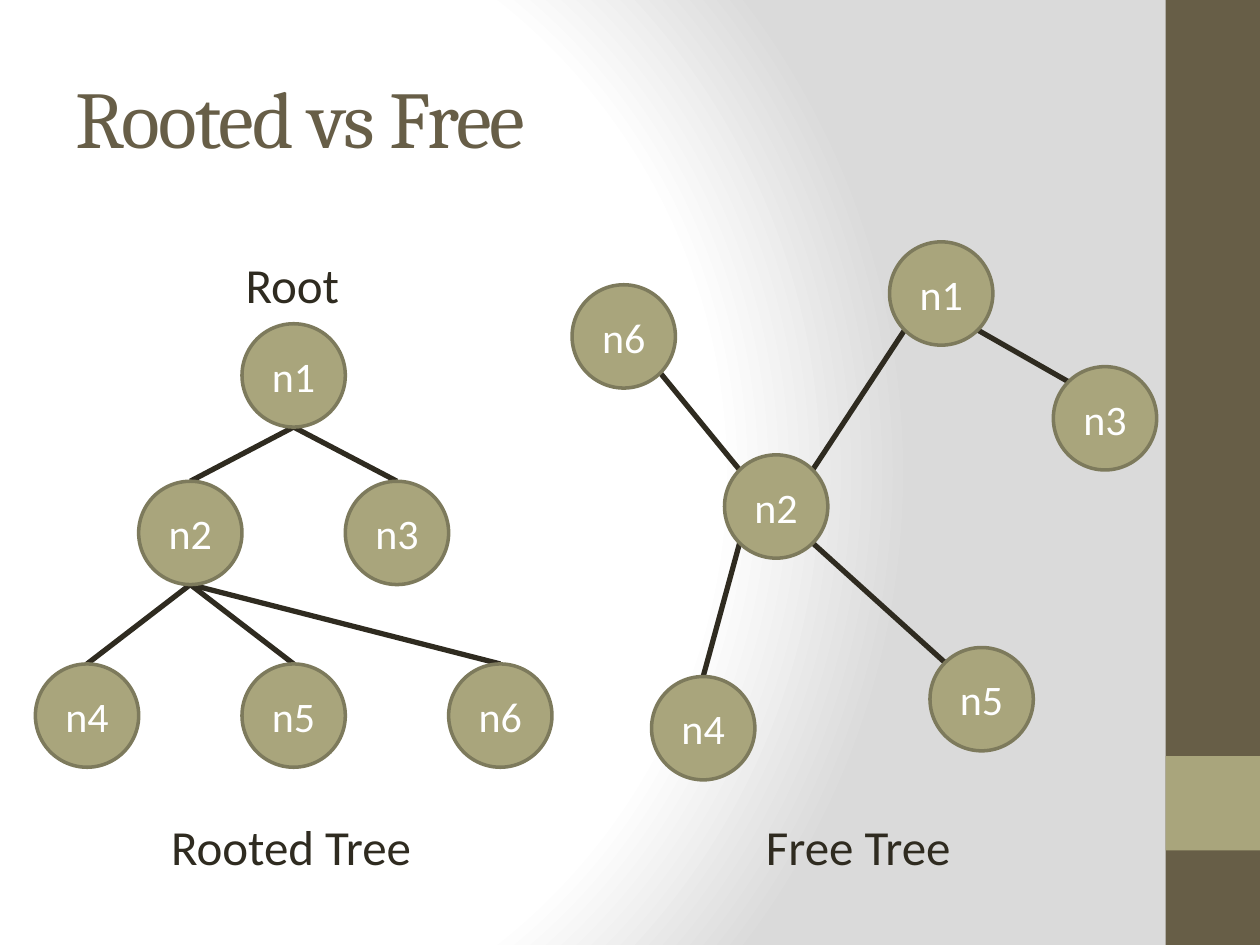
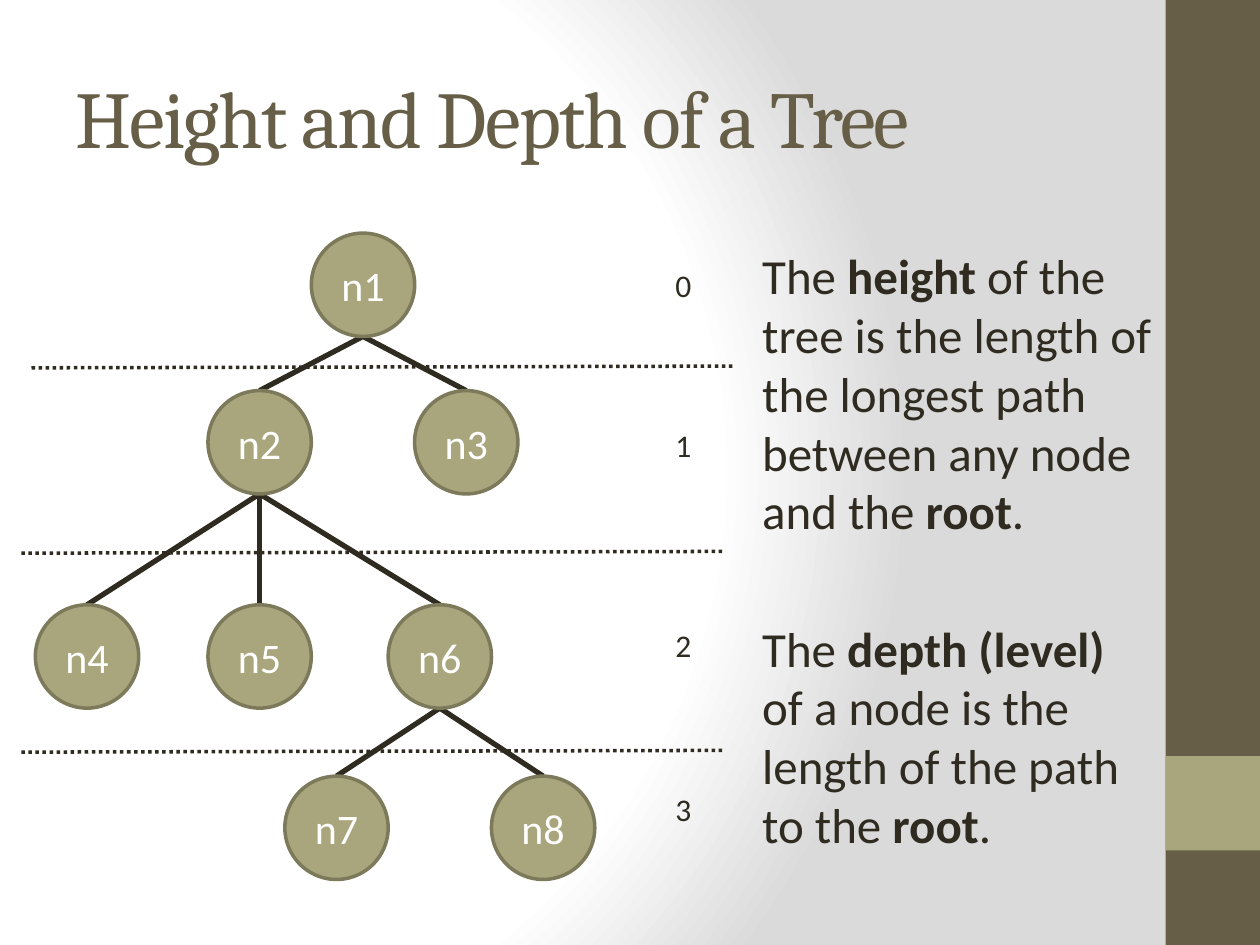
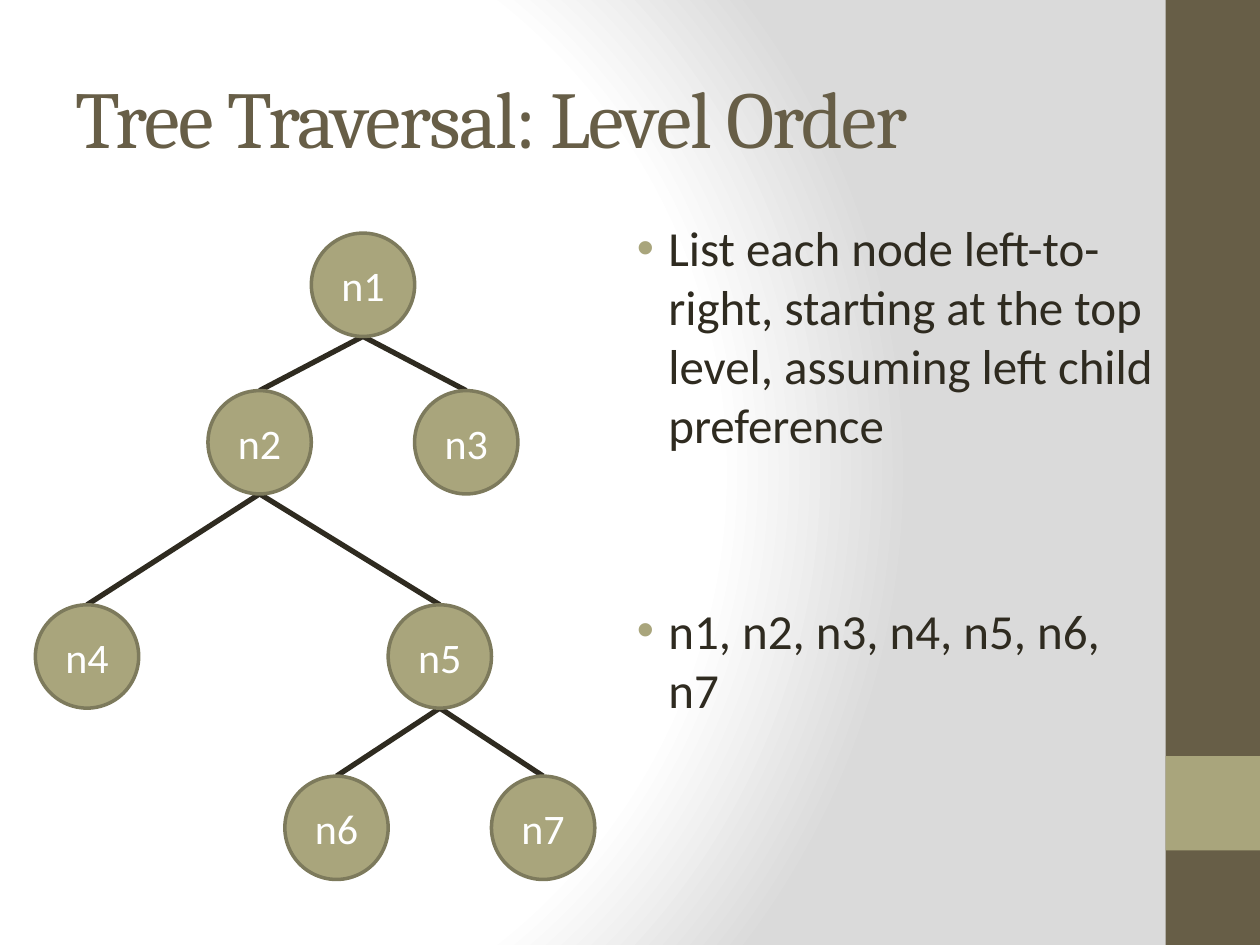
from math import sqrt

from lxml.etree import SubElement
from pptx import Presentation
from pptx.dml.color import RGBColor
from pptx.enum.dml import MSO_LINE
from pptx.enum.shapes import MSO_CONNECTOR, MSO_SHAPE
from pptx.enum.text import MSO_ANCHOR, MSO_AUTO_SIZE, PP_ALIGN
from pptx.oxml import parse_xml
from pptx.oxml.ns import nsdecls, qn
from pptx.util import Pt

COLORS = {
    "brown": "675E47", "olive": "A9A57C", "rim": "7D7A5C",
    "ink": "2F2B20", "white": "FFFFFF", "gray": "DADADA",
}
HEADING_FONT, BODY_FONT = "Cambria", "Calibri"
BODY_SIZE = 28
WIDTH, HEIGHT = 720, 540
BAND = 54
NODE = 59.04
DIAGONAL = sqrt(0.5)

# Points on a node's rim, in radii from its centre
RIM = {
    "top": (0, -1), "bottom": (0, 1),
    "top left": (-DIAGONAL, -DIAGONAL), "top right": (DIAGONAL, -DIAGONAL),
    "bottom left": (-DIAGONAL, DIAGONAL), "bottom right": (DIAGONAL, DIAGONAL),
}

# Rooted tree: columns half a sibling gap apart
ROOTED_LEVELS = (0, 90, 194.4)
ROOTED_NODES = {
    label: (column * NODE, ROOTED_LEVELS[level])
    for label, column, level in (
        ("n1", 2, 0), ("n2", 1, 1), ("n3", 3, 1),
        ("n4", 0, 2), ("n5", 2, 2), ("n6", 4, 2))
}
ROOTED_PARENTS = {"n2": "n1", "n3": "n1", "n4": "n2", "n5": "n2", "n6": "n2"}

FREE_NODES = {
    "n2": (87.1, 121.7), "n6": (0, 24.5), "n4": (45.4, 248.4),
    "n5": (204.5, 231.8), "n1": (181.4, 0), "n3": (275, 71.3),
}
FREE_EDGES = [
    ("n4", "top", "n2", "bottom left"),
    ("n6", "bottom right", "n2", "top left"),
    ("n2", "top right", "n1", "bottom left"),
    ("n1", "bottom right", "n3", "top left"),
    ("n2", "bottom right", "n5", "top left"),
]

# Four-level tree, used with and without its middle grandchild
DEEP_NODES = {
    "n1": (157.7, 0), "n2": (98.64, 90), "n3": (216.7, 90),
    "n4": (0, 212.4), "n5": (98.64, 212.4), "n6": (201.6, 212.4),
    "n7": (142.56, 310.3), "n8": (260.64, 310.3),
}
DEEP_PARENTS = {**ROOTED_PARENTS, "n7": "n6", "n8": "n6"}
BINARY_LABELS = {"n6": "n5", "n7": "n6", "n8": "n7"}
DEEP_BOX = (20.2, 133.2)


def rgb(name):
    return RGBColor.from_string(COLORS[name])


def paint_background(master):
    """Radial fade shared by every slide."""
    master.background.fill.solid()
    stops = "".join(
        f'<a:gs pos="{percent * 1000}"><a:srgbClr val="{COLORS[name]}"/></a:gs>'
        for percent, name in ((0, "white"), (75, "white"), (100, "gray")))
    fade = parse_xml(
        f'<a:gradFill {nsdecls("a")} rotWithShape="1"><a:gsLst>{stops}</a:gsLst>'
        '<a:path path="circle"><a:fillToRect l="20000" t="50000" r="100000" b="50000"/>'
        '</a:path></a:gradFill>')
    properties = master.element.find(".//" + qn("p:bgPr"))
    properties.replace(properties[0], fade)


def add_run(paragraph, text, size, color="ink", font=BODY_FONT, bold=False):
    run = paragraph.add_run()
    run.text = text
    run.font.name, run.font.size, run.font.bold = font, Pt(size), bold
    run.font.color.rgb = rgb(color)
    return run


def add_frame(slide, box, wrap=True):
    frame = slide.shapes.add_textbox(*map(Pt, box)).text_frame
    frame.word_wrap = wrap
    if not wrap:
        frame.auto_size = MSO_AUTO_SIZE.SHAPE_TO_FIT_TEXT
    return frame


def add_caption(slide, box, text):
    add_run(add_frame(slide, box, wrap=False).paragraphs[0], text, BODY_SIZE)


def add_line(slide, start, end, width, dash=None):
    line = slide.shapes.add_connector(MSO_CONNECTOR.STRAIGHT, *map(Pt, (*start, *end)))
    line.line.color.rgb = rgb("ink")
    line.line.width = Pt(width)
    if dash:
        line.line.dash_style = dash
    SubElement(line.element.spPr, qn("a:effectLst"))


def add_filled(slide, kind, box, fill):
    shape = slide.shapes.add_shape(kind, *map(Pt, box))
    shape.shadow.inherit = False
    shape.fill.solid()
    shape.fill.fore_color.rgb = rgb(fill)
    shape.line.fill.background()
    return shape


def add_node(slide, label, left, top):
    node = add_filled(slide, MSO_SHAPE.OVAL, (left, top, NODE, NODE), "olive")
    node.line.color.rgb = rgb("rim")
    node.line.width = Pt(2)
    node.text_frame.vertical_anchor = MSO_ANCHOR.MIDDLE
    paragraph = node.text_frame.paragraphs[0]
    paragraph.alignment = PP_ALIGN.CENTER
    add_run(paragraph, label, 24, "white")


def add_tree(slide, box, nodes, edges):
    """Edges first, so that the nodes cover their ends."""
    left, top = box

    def rim_point(label, side):
        return [origin + offset + NODE / 2 * (1 + shift)
                for origin, offset, shift in zip(box, nodes[label], RIM[side])]

    for start, start_side, end, end_side in edges:
        add_line(slide, rim_point(start, start_side), rim_point(end, end_side), 3)
    for label, (x, y) in nodes.items():
        add_node(slide, label, left + x, top + y)


def downward(parents):
    return [(parent, "bottom", child, "top") for child, parent in parents.items()]


def add_levels(slide, box):
    """Dotted dividers between levels and the depth of each level."""
    left, top = box
    for x, y in ((5.8, 58.3), (0, 164.2), (0, 277.9)):
        add_line(slide, (left + x, top + y), (left + x + 401, top + y - 1),
                 2, MSO_LINE.ROUND_DOT)
    for depth, y in enumerate((0, 91.5, 206, 299.5)):
        frame = add_frame(slide, (left + 373.7, top + y, 9.4, 21.6), wrap=False)
        frame.margin_left = frame.margin_right = frame.margin_top = frame.margin_bottom = 0
        frame.vertical_anchor = MSO_ANCHOR.MIDDLE
        add_run(frame.paragraphs[0], str(depth), 18)


def add_body(slide, box, paragraphs, gap, margin, bullet_indent=None):
    """Each paragraph is a list of runs; every second run is bold."""
    frame = add_frame(slide, box)
    for index, runs in enumerate(paragraphs):
        paragraph = frame.add_paragraph() if index else frame.paragraphs[0]
        if index:
            paragraph.space_before = Pt(gap)
        properties = paragraph._p.get_or_add_pPr()
        properties.set("marL", str(Pt(margin)))
        if bullet_indent:
            properties.set("indent", str(Pt(-bullet_indent)))
            color = SubElement(properties, qn("a:buClr"))
            SubElement(color, qn("a:srgbClr"), val=COLORS["olive"])
            SubElement(properties, qn("a:buFont"), typeface="Arial")
            SubElement(properties, qn("a:buChar"), char="•")
        for order, text in enumerate(runs):
            add_run(paragraph, text, BODY_SIZE, bold=order % 2 == 1)


def start_slide(prs, title):
    slide = prs.slides.add_slide(prs.slide_layouts[6])
    # Side band with its accent square
    edge = WIDTH - BAND
    add_filled(slide, MSO_SHAPE.RECTANGLE, (edge, 0, BAND, HEIGHT), "brown")
    add_filled(slide, MSO_SHAPE.RECTANGLE, (edge, 432, BAND, BAND), "olive")
    # Title
    frame = add_frame(slide, (36, 21.6, 600, 90))
    frame.vertical_anchor = MSO_ANCHOR.MIDDLE
    heading = add_run(frame.paragraphs[0], title, 46, "brown", HEADING_FONT)
    heading._r.get_or_add_rPr().set("spc", "-100")
    return slide


def build_rooted_vs_free(prs):
    slide = start_slide(prs, "Rooted vs Free")
    add_tree(slide, (20.2, 185), ROOTED_NODES, downward(ROOTED_PARENTS))
    add_tree(slide, (326.9, 138.2), FREE_NODES, FREE_EDGES)
    add_caption(slide, (133.2, 141.8, 68.4, 41), "Root")
    add_caption(slide, (90.7, 463, 153.4, 41), "Rooted Tree")
    add_caption(slide, (430.6, 463, 121, 41), "Free Tree")


def build_height_and_depth(prs):
    slide = start_slide(prs, "Height and Depth of a Tree")
    add_body(slide, (419.8, 136.8, 246.2, 361.4), [
        ["The ", "height", " of the tree is the length of the longest path "
         "between any node and the ", "root", "."],
        ["The ", "depth (level)", " of a node is the length of the path to the ",
         "root", "."],
    ], gap=44.8, margin=8.64)
    add_levels(slide, (12.2, 151.9))
    add_tree(slide, DEEP_BOX, DEEP_NODES, downward(DEEP_PARENTS))


def build_level_order(prs):
    slide = start_slide(prs, "Tree Traversal: Level Order")
    add_body(slide, (347.8, 121, 318.2, 361.4), [
        ["List each node left-to-right, starting at the top level, "
         "assuming left child preference"],
        ["n1, n2, n3, n4, n5, n6, n7"],
    ], gap=84, margin=27, bullet_indent=18)

    def renamed(label):
        return BINARY_LABELS.get(label, label)

    nodes = {renamed(label): place for label, place in DEEP_NODES.items()
             if label != "n5"}
    parents = {renamed(child): renamed(parent)
               for child, parent in DEEP_PARENTS.items() if child != "n5"}
    add_tree(slide, DEEP_BOX, nodes, downward(parents))


def main():
    prs = Presentation()
    prs.slide_width, prs.slide_height = Pt(WIDTH), Pt(HEIGHT)
    paint_background(prs.slide_master)
    build_rooted_vs_free(prs)
    build_height_and_depth(prs)
    build_level_order(prs)
    prs.save("out.pptx")


if __name__ == "__main__":
    main()
